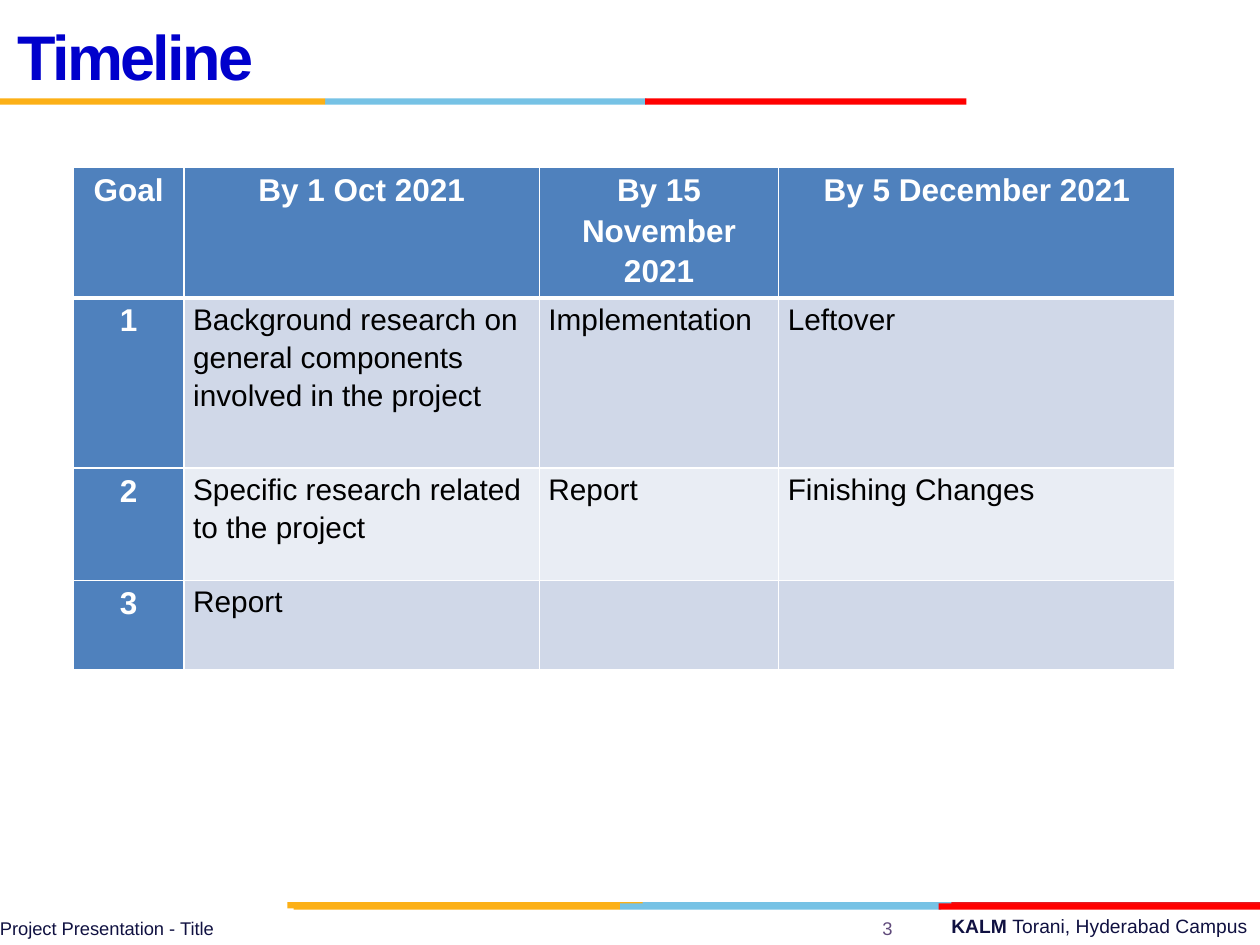
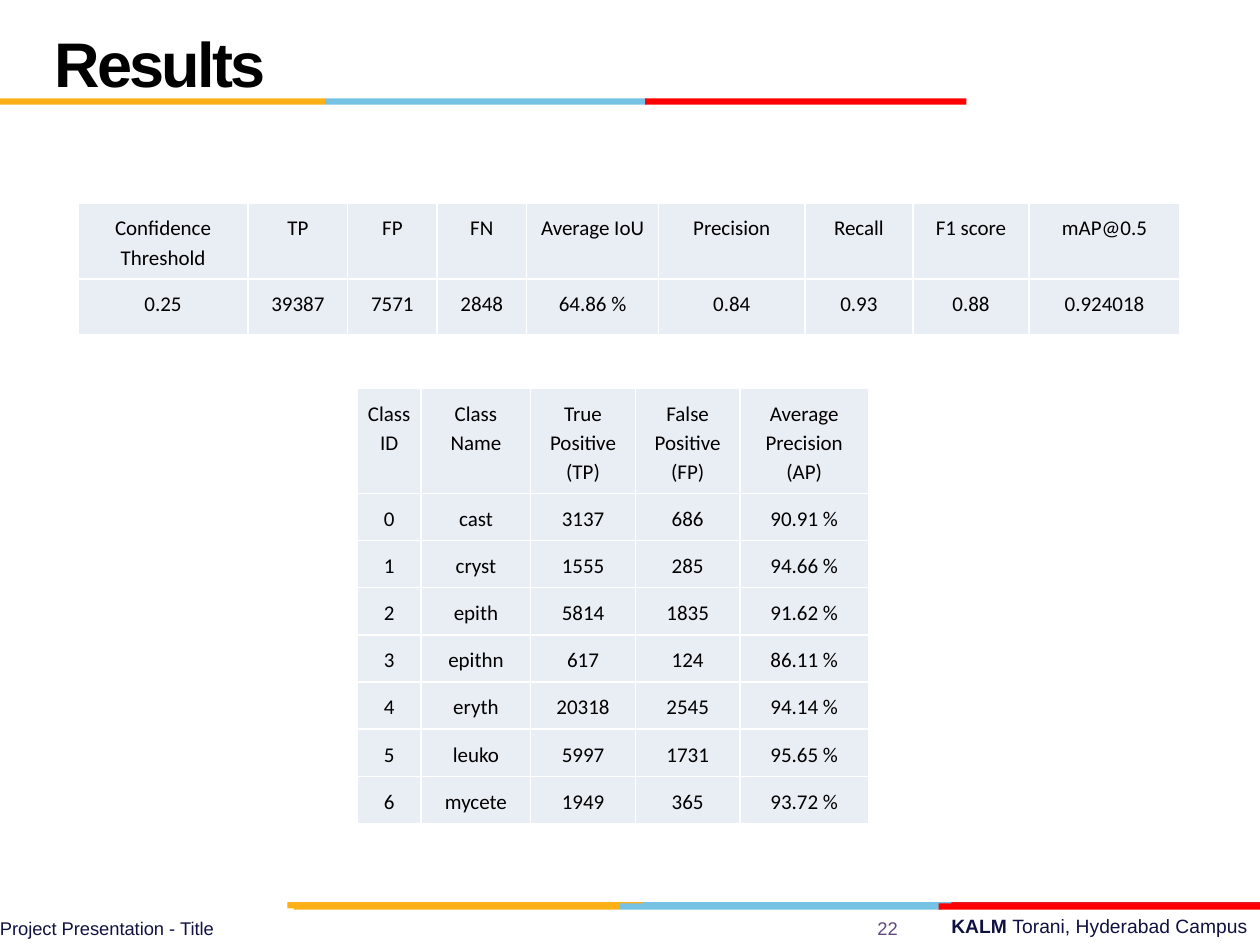
import pptx
import pptx.chart.data
import pptx.dml.color
import pptx.enum.shapes
import pptx.enum.text
import pptx.oxml
import pptx.oxml.ns
import pptx.util
import lxml.etree

Pt = pptx.util.Pt
Color = pptx.dml.color.RGBColor
Align = pptx.enum.text.PP_ALIGN
Anchor = pptx.enum.text.MSO_ANCHOR

WHITE = Color(0xFF, 0xFF, 0xFF)
BLACK = Color(0, 0, 0)
ROYAL = Color(0x00, 0x00, 0xCC)
NAVY = Color(0x10, 0x11, 0x41)
PURPLE = Color(0x60, 0x4A, 0x7B)
GOLD = Color(0xFC, 0xB0, 0x17)
SKY = Color(0x76, 0xC2, 0xE5)
RED = Color(0xFF, 0, 0)
BRICK = Color(0xE3, 0x1C, 0x24)
BLUE = Color(0x4F, 0x81, 0xBD)
MID = Color(0xD0, 0xD8, 0xE8)
PALE = Color(0xE9, 0xED, 0xF4)

BANDS = [
    (515.5, [(364.3, 183.6, SKY), (543.6, 176.4, BRICK), (164.2, 203, GOLD)]),
    (516.2, [(354.2, 183.6, SKY), (167.8, 186.4, GOLD), (536.4, 183.6, RED)]),
    (56.2, [(185.8, 183.6, SKY), (0, 185.8, GOLD), (368.6, 183.6, RED)]),
]
BAND_H = 3.6
FOOTER = "Project Presentation - Title"
CAMPUS = [("KALM ", True), ("Torani, Hyderabad Campus", False)]

GOALS = {
    "spot": (41.8, 95.8),
    "cols": [63.4, 203, 136.8, 226.4],
    "rows": [69.8, 97.2, 64.1, 51.1],
    "look": "goals",
    "data": [
        ["Goal", "By 1 Oct 2021", "By 15 November 2021", "By 5 December 2021"],
        ["1", "Background research on general components involved in the project",
         "Implementation", "Leftover"],
        ["2", "Specific research related to the project", "Report", "Finishing Changes"],
        ["3", "Report", "", ""],
    ],
}
SCORES = {
    "spot": (44.6, 115.9),
    "cols": [97.2, 56.9, 51.1, 51.1, 75.6, 83.5, 61.9, 66.2, 86.4],
    "rows": [40.3, 31.7],
    "look": "plain",
    "data": [
        ["Confidence Threshold", "TP", "FP", "FN", "Average IoU", "Precision",
         "Recall", "F1 score", "mAP@0.5"],
        ["0.25", "39387", "7571", "2848", "64.86 %", "0.84", "0.93", "0.88", "0.924018"],
    ],
}
GROUPS = {
    "spot": (204, 221.8),
    "cols": [36.7, 62.6, 59.8, 59.8, 73.4],
    "rows": [58.3] + [25.2] * 7,
    "look": "plain",
    "data": [
        ["Class ID", "Class Name", "True Positive (TP)", "False Positive (FP)",
         "Average Precision (AP)"],
        ["0", "cast", "3137", "686", "90.91 %"],
        ["1", "cryst", "1555", "285", "94.66 %"],
        ["2", "epith", "5814", "1835", "91.62 %"],
        ["3", "epithn", "617", "124", "86.11 %"],
        ["4", "eryth", "20318", "2545", "94.14 %"],
        ["5", "leuko", "5997", "1731", "95.65 %"],
        ["6", "mycete", "1949", "365", "93.72 %"],
    ],
}
SLIDES = [
    {"title": "Timeline", "color": ROYAL, "box": (2.9, 2.2, 498.2, 66.2),
     "page": "3", "tables": [GOALS]},
    {"title": "Results", "color": BLACK, "box": (23.8, 12.2, 498.2, 54),
     "page": "22", "tables": [SCORES, GROUPS]},
]


def style(run, size, color, bold=False, face="Arial"):
    run.font.name = face
    run.font.size = Pt(size)
    run.font.bold = bold
    run.font.color.rgb = color


def add_title(slide, item):
    title = slide.shapes.title
    title.left, title.top, title.width, title.height = map(Pt, item["box"])
    frame = title.text_frame
    frame.text = item["title"]
    frame.auto_size = pptx.enum.text.MSO_AUTO_SIZE.NONE
    frame.vertical_anchor = Anchor.MIDDLE
    para = frame.paragraphs[0]
    para.alignment = Align.LEFT
    para.line_spacing = Pt(36)
    run = para.runs[0]
    style(run, 36, item["color"], True)
    run._r.get_or_add_rPr().set("spc", "-150")


def add_label(slide, box, parts, size, color, align, inset=True):
    frame = slide.shapes.add_textbox(*map(Pt, box)).text_frame
    frame.word_wrap = True
    if not inset:
        frame.margin_left = frame.margin_right = 0
        frame.margin_top = frame.margin_bottom = 0
    para = frame.paragraphs[0]
    para.alignment = align
    for text, bold in parts:
        run = para.add_run()
        run.text = text
        style(run, size, color, bold)


def add_frame(slide, page):
    for top, bars in BANDS:
        for left, width, color in bars:
            bar = slide.shapes.add_shape(
                pptx.enum.shapes.MSO_SHAPE.RECTANGLE,
                Pt(left), Pt(top), Pt(width), Pt(BAND_H))
            bar.shadow.inherit = False
            bar.fill.solid()
            bar.fill.fore_color.rgb = color
            bar.line.fill.background()
    add_label(slide, (257.8, 519.1, 462.2, 20.9), CAMPUS, 11, NAVY, Align.RIGHT)
    add_label(slide, (480.2, 524.2, 54, 13), [(page, False)], 10.5, PURPLE,
              Align.CENTER, False)
    add_label(slide, (0, 524.2, 470.9, 13), [(FOOTER, False)], 10.5, NAVY,
              Align.LEFT, False)


def set_edges(cell, base):
    props = cell._tc.get_or_add_tcPr()
    for spot, (side, width) in enumerate([("L", 1), ("R", 1), ("T", 1), ("B", base)]):
        line = pptx.oxml.parse_xml(
            f'<a:ln{side} {pptx.oxml.ns.nsdecls("a")} w="{Pt(width)}">'
            f'<a:solidFill><a:srgbClr val="{WHITE}"/></a:solidFill></a:ln{side}>')
        props.insert(spot, line)


def fill_cell(cell, text, look, row, col):
    goals = look == "goals"
    head = goals and (row == 0 or col == 0)
    cell.margin_left = cell.margin_right = Pt(5.2)
    cell.margin_top = cell.margin_bottom = Pt(0 if goals else 5.2)
    cell.fill.solid()
    cell.fill.fore_color.rgb = BLUE if head else MID if goals and row % 2 else PALE
    set_edges(cell, 3 if goals and row == 0 else 1)
    if not text:
        return
    cell.text_frame.text = text
    para = cell.text_frame.paragraphs[0]
    para.alignment = Align.LEFT if goals and not head else Align.CENTER
    para.line_spacing = 1.15
    para.space_before = Pt(0 if goals else 12)
    para.space_after = Pt(6 if goals else 10)
    size = 18 if head else 17 if goals else 12
    style(para.runs[0], size, WHITE if head else BLACK, head,
          "Arial" if goals else "Calibri")


def add_grid(slide, item):
    cols, rows = item["cols"], item["rows"]
    left, top = item["spot"]
    table = slide.shapes.add_table(
        len(rows), len(cols), Pt(left), Pt(top), Pt(sum(cols)), Pt(sum(rows))).table
    table.first_row = table.horz_banding = False
    for col, width in zip(table.columns, cols):
        col.width = Pt(width)
    for row, height in zip(table.rows, rows):
        row.height = Pt(height)
    for r, line in enumerate(item["data"]):
        for c, text in enumerate(line):
            fill_cell(table.cell(r, c), text, item["look"], r, c)


def main():
    deck = pptx.Presentation()
    deck.slide_width, deck.slide_height = Pt(720), Pt(540)
    for item in SLIDES:
        slide = deck.slides.add_slide(deck.slide_layouts[5])
        add_frame(slide, item["page"])
        add_title(slide, item)
        for grid in item["tables"]:
            add_grid(slide, grid)
    deck.save("out.pptx")


if __name__ == "__main__":
    main()
